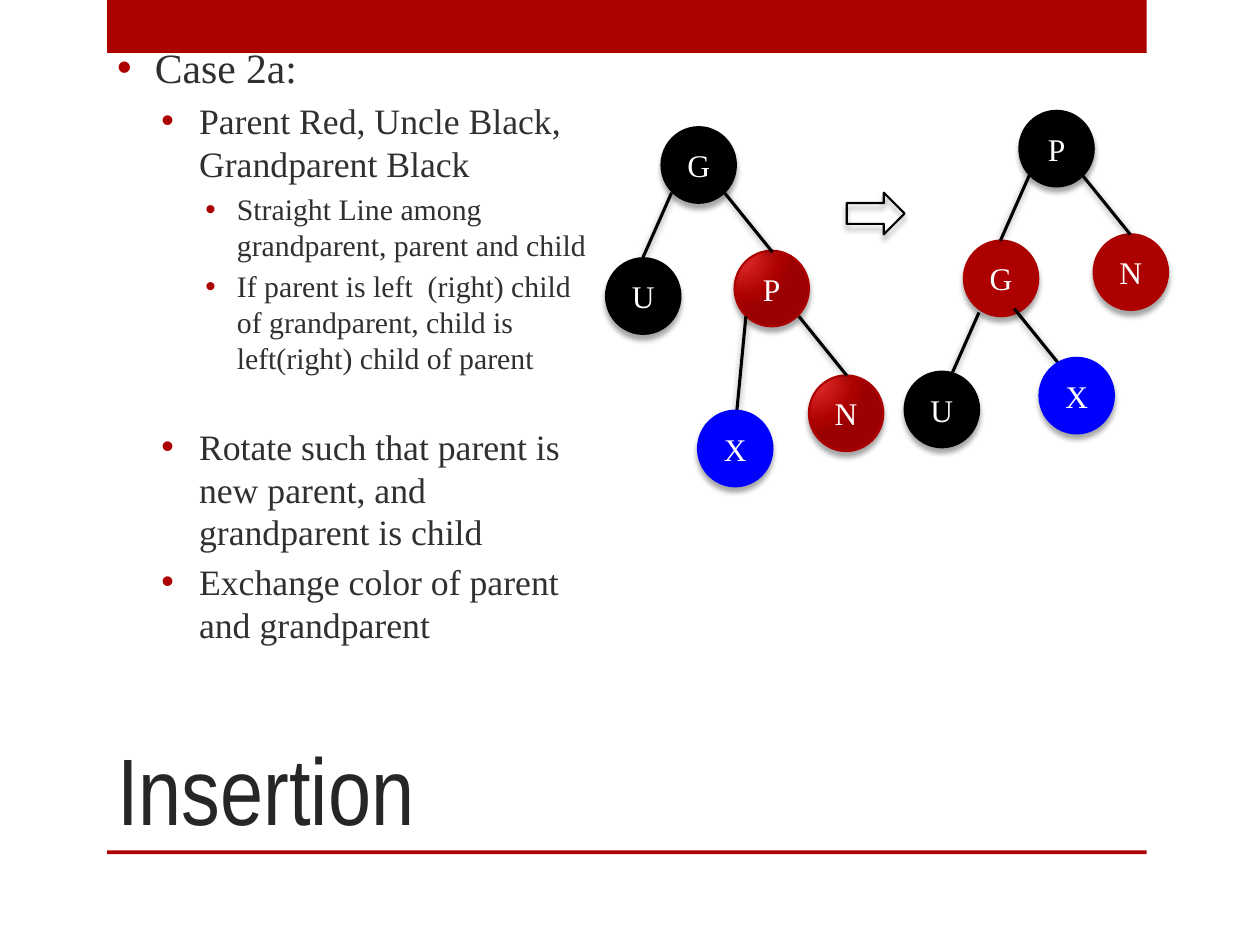
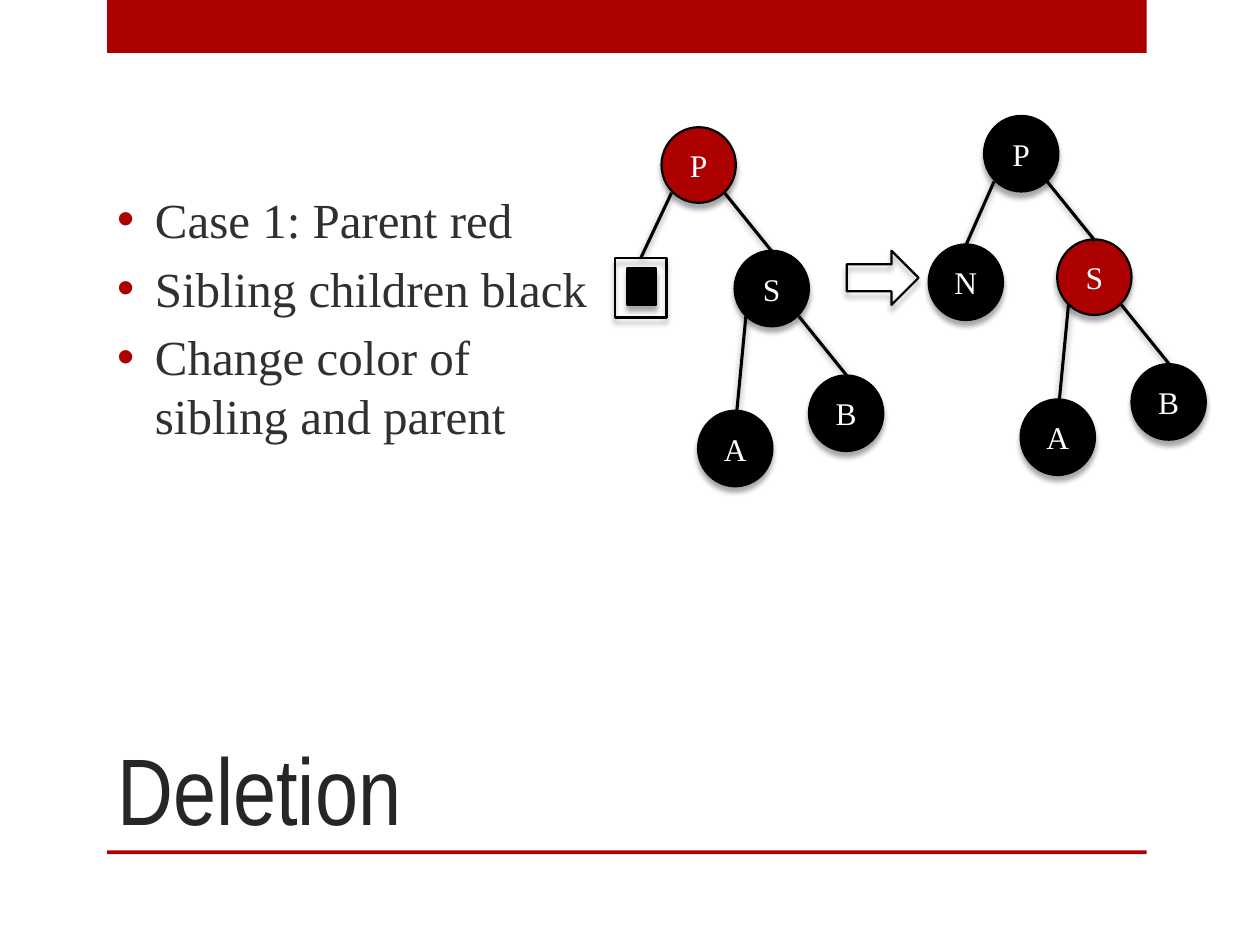
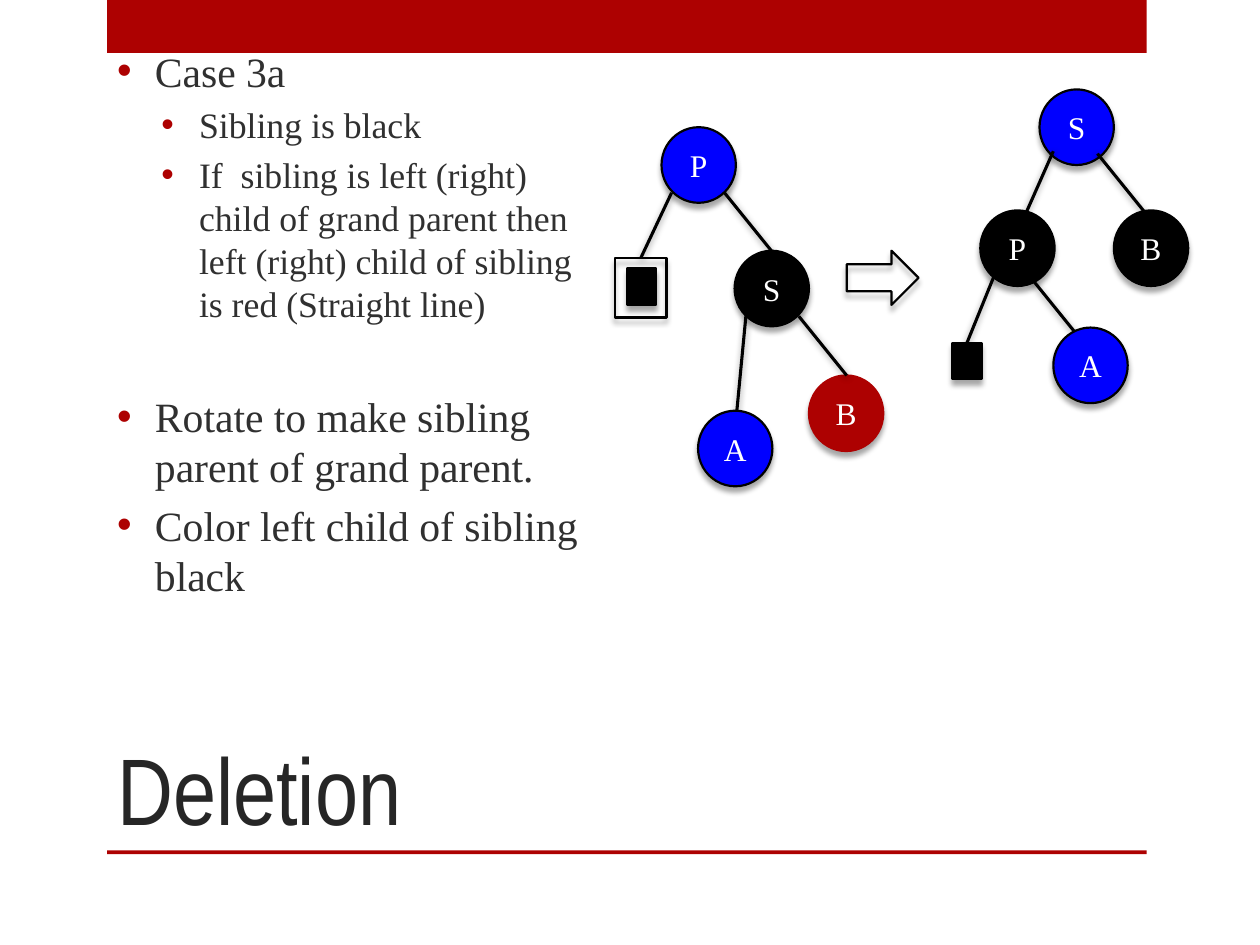
from dataclasses import dataclass
from typing import NamedTuple, Optional, Union

from lxml.etree import SubElement
from pptx import Presentation
from pptx.dml.color import RGBColor
from pptx.enum.shapes import MSO_CONNECTOR, MSO_SHAPE
from pptx.enum.text import MSO_ANCHOR, MSO_AUTO_SIZE, PP_ALIGN
from pptx.oxml import parse_xml
from pptx.oxml.ns import nsdecls, qn
from pptx.util import Inches, Pt


@dataclass(frozen=True)
class Theme:
    red: str = "AD0101"
    red_light: str = "E62F2F"
    red_dark: str = "9C0101"
    black: str = "000000"
    blue: str = "0000FF"
    white: str = "FFFFFF"
    title: str = "262626"
    body: str = "303030"
    title_font: str = "Arial Narrow"
    body_font: str = "Times New Roman"
    bullet_font: str = "Arial"
    title_size: float = 54
    node_size: float = 18
    regular_sizes: tuple[float, ...] = (28,)
    compact_sizes: tuple[float, ...] = (23.8, 20.4, 17)
    line_spacing: float = 1.0
    outline: float = 1.25
    edge: float = 1.75


THEME = Theme()


class Box(NamedTuple):
    x: float
    y: float
    width: float
    height: float

    def lengths(self) -> list[int]:
        return [Inches(value) for value in self]


class Shadow(NamedTuple):
    opacity: int
    blur: float
    distance: float
    angle: int


class Paint(NamedTuple):
    fill: Optional[str]
    outline: str
    glossy: bool = False


class Node(NamedTuple):
    label: str
    x: float
    y: float
    paint: Paint


class Leaf(NamedTuple):
    x: float
    y: float
    framed: bool


class Edge(NamedTuple):
    x: float
    y: float
    reach: tuple[float, float]
    to_leaf: bool = False


class Bullet(NamedTuple):
    text: str
    level: int = 0
    gap: float = 0


class Case(NamedTuple):
    title: str
    bullets: list[Bullet]
    sizes: tuple[float, ...]
    space_below: float
    arrow: Box
    trees: list[list[Union[Node, Leaf, Edge]]]


# Shared geometry, in inches
BANDS = [Box(0.85, 0, 8.25, 0.42), Box(0.85, 6.75, 8.25, 0.03)]
TITLE_BOX = Box(0.83, 5, 7.42, 1.75)
BODY_BOX = Box(0.83, 0.67, 4, 4.12)
INDENTS = [(0.3, 0.3), (0.65, 0.3), (0.95, 0.25)]
NODE_WIDTH, NODE_HEIGHT = 0.59, 0.6
LEFT, RIGHT, STEEP = (-0.23, 0.52), (0.38, 0.47), (-0.09, 0.94)

SHAPE_SHADOW = Shadow(35, 3, 3, 90)
EDGE_SHADOW = Shadow(40, 4, 1, 88)

BLACK = Paint(THEME.black, THEME.black)
RED = Paint(THEME.red, THEME.red)
RED_GLOSSY = Paint(THEME.red, THEME.red, glossy=True)
RED_RIMMED = Paint(THEME.red, THEME.black)
BLUE = Paint(THEME.blue, THEME.blue)
BLUE_RIMMED = Paint(THEME.blue, THEME.black)
HOLLOW = Paint(None, THEME.black)


def rgb(color: str) -> RGBColor:
    return RGBColor.from_string(color)


def style_runs(paragraph, font: str, size: float, color: str) -> None:
    for run in paragraph.runs:
        run.font.name = font
        run.font.size = Pt(size)
        run.font.color.rgb = rgb(color)


def cast_shadow(shape, shadow: Shadow) -> None:
    properties = shape.element.spPr
    effects = properties.find(qn("a:effectLst"))
    if effects is None:
        effects = SubElement(properties, qn("a:effectLst"))
    outer = SubElement(effects, qn("a:outerShdw"), blurRad=str(Pt(shadow.blur)),
                       dist=str(Pt(shadow.distance)), dir=str(shadow.angle * 60000),
                       rotWithShape="0")
    color = SubElement(outer, qn("a:srgbClr"), val=THEME.black)
    SubElement(color, qn("a:alpha"), val=str(shadow.opacity * 1000))


def add_gloss(shape) -> None:
    stops = [(0, THEME.red_light), (76, THEME.red), (100, THEME.red_dark)]
    stop_xml = "".join(f'<a:gs pos="{pos * 1000}"><a:srgbClr val="{color}"/></a:gs>'
                       for pos, color in stops)
    gloss = parse_xml(
        f'<a:gradFill {nsdecls("a")} rotWithShape="1"><a:gsLst>{stop_xml}</a:gsLst>'
        '<a:path path="circle"><a:fillToRect l="15000" t="15000" r="100000" b="100000"/>'
        '</a:path></a:gradFill>')
    properties = shape.element.spPr
    properties.replace(properties.find(qn("a:solidFill")), gloss)


def draw_shape(slide, kind: MSO_SHAPE, box: Box, paint: Paint):
    shape = slide.shapes.add_shape(kind, *box.lengths())
    if paint.fill is None:
        shape.fill.background()
    else:
        shape.fill.solid()
        shape.fill.fore_color.rgb = rgb(paint.fill)
    if paint.glossy:
        add_gloss(shape)
    shape.line.color.rgb = rgb(paint.outline)
    shape.line.width = Pt(THEME.outline)
    shape.shadow.inherit = False
    cast_shadow(shape, SHAPE_SHADOW)
    return shape


def draw_node(slide, node: Node) -> None:
    circle = draw_shape(slide, MSO_SHAPE.OVAL,
                        Box(node.x, node.y, NODE_WIDTH, NODE_HEIGHT), node.paint)
    circle.text_frame.text = node.label
    circle.text_frame.vertical_anchor = MSO_ANCHOR.MIDDLE
    label = circle.text_frame.paragraphs[0]
    label.alignment = PP_ALIGN.CENTER
    style_runs(label, THEME.body_font, THEME.node_size, THEME.white)


def draw_leaf(slide, leaf: Leaf):
    """Return the outermost square, where the edge from the parent ends."""
    core_x, core_y = (leaf.x + 0.1, leaf.y + 0.08) if leaf.framed else (leaf.x, leaf.y)
    core = draw_shape(slide, MSO_SHAPE.RECTANGLE, Box(core_x, core_y, 0.23, 0.29), BLACK)
    if not leaf.framed:
        return core
    return draw_shape(slide, MSO_SHAPE.RECTANGLE, Box(leaf.x, leaf.y, 0.41, 0.47), HOLLOW)


def draw_edge(slide, edge: Edge, leaf_square) -> None:
    dx, dy = edge.reach
    line = slide.shapes.add_connector(
        MSO_CONNECTOR.STRAIGHT, Inches(edge.x), Inches(edge.y),
        Inches(edge.x + dx), Inches(edge.y + dy))
    if edge.to_leaf:
        line.end_connect(leaf_square, 0)
    line.line.color.rgb = rgb(THEME.black)
    line.line.width = Pt(THEME.edge)
    cast_shadow(line, EDGE_SHADOW)


def draw_tree(slide, parts: list[Union[Node, Leaf, Edge]]) -> None:
    leaf_square = None
    for part in parts:
        if isinstance(part, Node):
            draw_node(slide, part)
        elif isinstance(part, Leaf):
            leaf_square = draw_leaf(slide, part)
        else:
            draw_edge(slide, part, leaf_square)


def five_part_tree(root: Node, left: Union[Node, Leaf], inner: tuple[str, Paint],
                   outer: tuple[str, Paint], low: tuple[str, Paint]) -> list:
    """Root with a left child, and an inner right child that has two children."""
    x, y = root.x, root.y
    return [
        Node(inner[0], x + 0.58, y + 0.98, inner[1]),
        left,
        Node(outer[0], x + 1.17, y + 1.97, outer[1]),
        root,
        Edge(x + 0.08, y + 0.52, LEFT, isinstance(left, Leaf)),
        Edge(x + 0.5, y + 0.52, RIGHT),
        Edge(x + 1.09, y + 1.5, RIGHT),
        Edge(x + 0.67, y + 1.5, STEEP),
        Node(low[0], x + 0.29, y + 2.25, low[1]),
    ]


def write_title(slide, text: str) -> None:
    title = slide.shapes.title
    title.left, title.top, title.width, title.height = TITLE_BOX.lengths()
    title.text_frame.text = text
    title.text_frame.auto_size = MSO_AUTO_SIZE.NONE
    title.text_frame.vertical_anchor = MSO_ANCHOR.BOTTOM
    heading = title.text_frame.paragraphs[0]
    heading.alignment = PP_ALIGN.LEFT
    style_runs(heading, THEME.title_font, THEME.title_size, THEME.title)


def write_bullets(slide, case: Case) -> None:
    body = slide.placeholders[1]
    body.left, body.top, body.width, body.height = BODY_BOX.lengths()
    frame = body.text_frame
    frame.auto_size = MSO_AUTO_SIZE.NONE
    frame.vertical_anchor = MSO_ANCHOR.MIDDLE
    frame.margin_bottom = Inches(0.05 + case.space_below)
    frame.text = "\n".join(bullet.text for bullet in case.bullets)
    for paragraph, bullet in zip(frame.paragraphs, case.bullets):
        size = case.sizes[bullet.level]
        paragraph.level = bullet.level
        paragraph.line_spacing = THEME.line_spacing
        paragraph.space_before = Pt(round(size * 0.2 + bullet.gap, 1))
        style_runs(paragraph, THEME.body_font, size, THEME.body)
        # Hanging bullet in the theme red
        margin, hang = INDENTS[bullet.level]
        properties = paragraph._p.get_or_add_pPr()
        properties.set("marL", str(Inches(margin)))
        properties.set("indent", str(-Inches(hang)))
        color = SubElement(properties, qn("a:buClr"))
        SubElement(color, qn("a:srgbClr"), val=THEME.red)
        SubElement(properties, qn("a:buFont"), typeface=THEME.bullet_font)
        SubElement(properties, qn("a:buChar"), char="•")


def put_bands_on_layout(slide) -> None:
    """Draw the red bands once and move them to the layout all slides share."""
    for box in BANDS:
        band = slide.shapes.add_shape(MSO_SHAPE.RECTANGLE, *box.lengths())
        band.fill.solid()
        band.fill.fore_color.rgb = rgb(THEME.red)
        band.line.fill.background()
        band.shadow.inherit = False
        slide.slide_layout.shapes.element.append(band.element)


# Slide content
FRAMED_LEAF = Leaf(4.88, 2.05, framed=True)
DELETION_ARROW = Box(6.72, 1.99, 0.57, 0.43)

INSERTION_2A = Case(
    "Insertion",
    [
        Bullet("Case 2a:"),
        Bullet("Parent Red, Uncle Black, Grandparent Black", 1),
        Bullet("Straight Line among grandparent, parent and child", 2),
        Bullet("If parent is left  (right) child of grandparent, "
               "child is left(right) child of parent", 2),
        Bullet("Rotate such that parent is new parent, and grandparent is child", 1, gap=24),
        Bullet("Exchange color of parent and grandparent", 1),
    ],
    THEME.compact_sizes, 0, Box(6.72, 1.53, 0.46, 0.33),
    [
        five_part_tree(Node("G", 5.25, 1.01, BLACK), Node("U", 4.81, 2.05, BLACK),
                       ("P", RED_GLOSSY), ("N", RED_GLOSSY), ("X", BLUE)),
        [
            Node("N", 8.68, 1.86, RED),
            Node("G", 7.65, 1.91, RED),
            Node("P", 8.09, 0.88, BLACK),
            Edge(8.17, 1.39, LEFT),
            Edge(8.59, 1.39, RIGHT),
            Edge(8.05, 2.45, RIGHT),
            Edge(7.77, 2.48, LEFT),
            Node("U", 7.18, 2.95, BLACK),
            Node("X", 8.25, 2.84, BLUE),
        ],
    ],
)

DELETION_1 = Case(
    "Deletion",
    [
        Bullet("Case 1: Parent red"),
        Bullet("Sibling children black"),
        Bullet("Change color of sibling and parent"),
    ],
    THEME.regular_sizes, 0.43, DELETION_ARROW,
    [
        five_part_tree(Node("P", 5.25, 1.01, RED_RIMMED), FRAMED_LEAF,
                       ("S", BLACK), ("B", BLACK), ("A", BLACK)),
        five_part_tree(Node("P", 7.81, 0.92, BLACK), Node("N", 7.37, 1.94, BLACK),
                       ("S", RED_RIMMED), ("B", BLACK), ("A", BLACK)),
    ],
)

DELETION_3A = Case(
    "Deletion",
    [
        Bullet("Case 3a"),
        Bullet("Sibling is black", 1),
        Bullet("If  sibling is left (right) child of grand parent then "
               "left (right) child of sibling is red (Straight line)", 1),
        Bullet("Rotate to make sibling parent of grand parent.", gap=33.4),
        Bullet("Color left child of sibling black"),
    ],
    THEME.compact_sizes, 0.34, DELETION_ARROW,
    [
        five_part_tree(Node("P", 5.25, 1.01, BLUE_RIMMED), FRAMED_LEAF,
                       ("S", BLACK), ("B", RED), ("A", BLUE_RIMMED)),
        [
            Node("S", 8.25, 0.71, BLUE_RIMMED),
            Edge(8.36, 1.2, LEFT),
            Edge(8.71, 1.22, RIGHT),
            Node("B", 8.84, 1.67, BLACK),
            Node("P", 7.78, 1.67, BLACK),
            Leaf(7.56, 2.72, framed=False),
            Edge(8.17, 2.19, RIGHT),
            Edge(7.89, 2.19, LEFT, to_leaf=True),
            Node("A", 8.36, 2.6, BLUE_RIMMED),
        ],
    ],
)


def main() -> None:
    deck = Presentation()
    deck.slide_width, deck.slide_height = Inches(10), Inches(7.5)
    title_and_content = deck.slide_layouts[1]
    for case in (INSERTION_2A, DELETION_1, DELETION_3A):
        slide = deck.slides.add_slide(title_and_content)
        write_title(slide, case.title)
        write_bullets(slide, case)
        for tree in case.trees:
            draw_tree(slide, tree)
        draw_shape(slide, MSO_SHAPE.RIGHT_ARROW, case.arrow, HOLLOW)
    put_bands_on_layout(deck.slides[0])
    deck.save("out.pptx")


if __name__ == "__main__":
    main()
